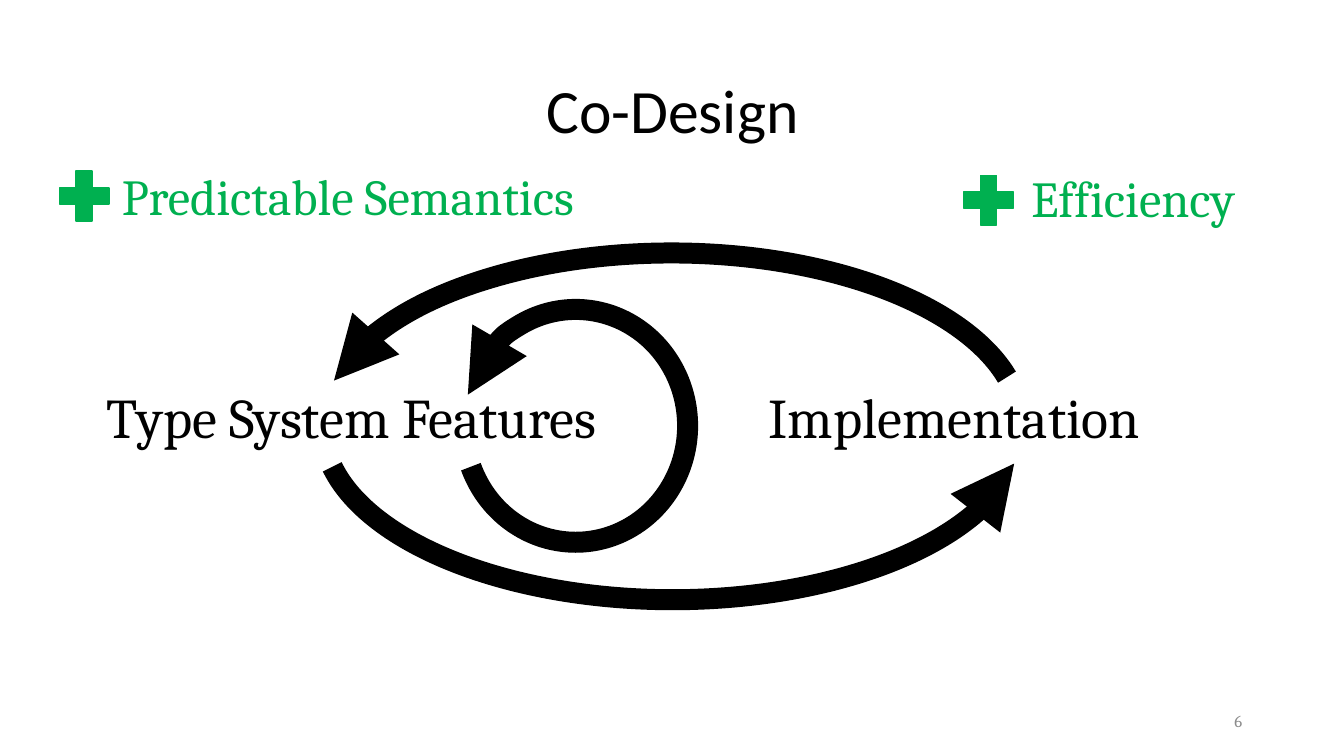
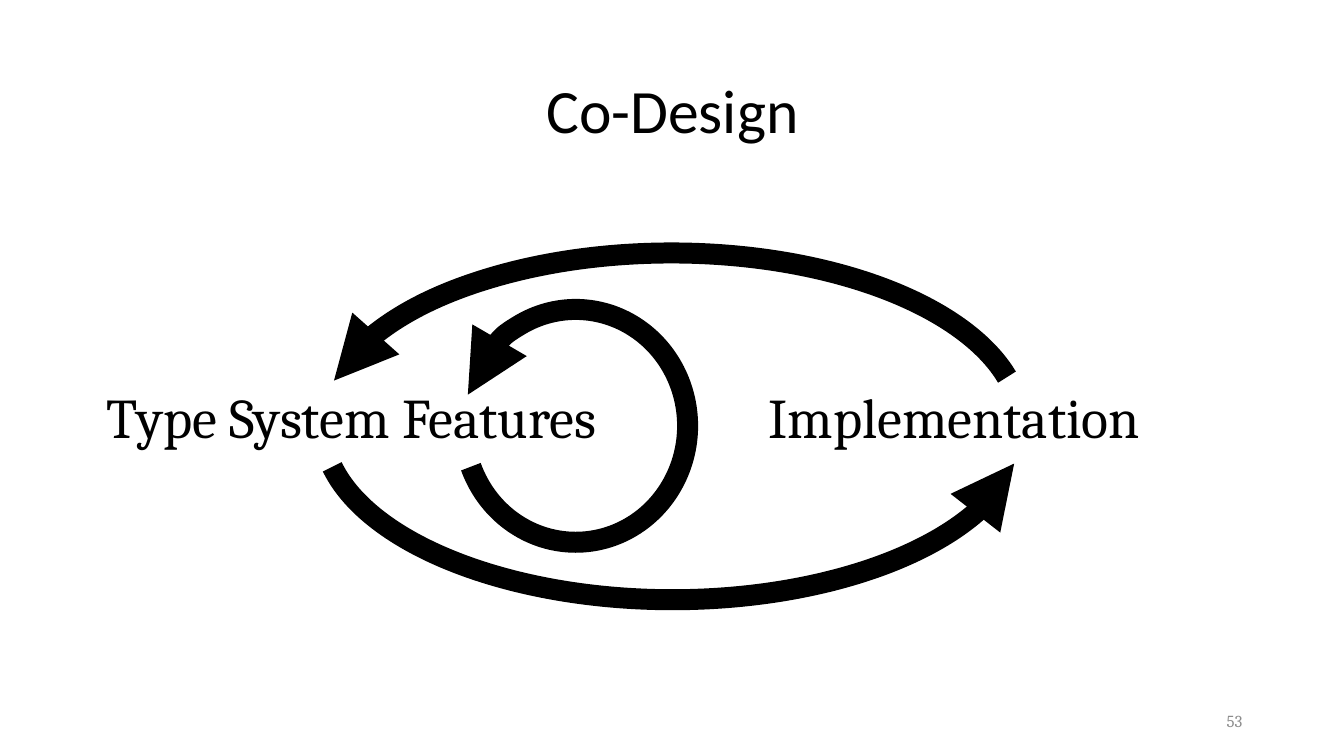
from lxml.etree import SubElement
from pptx import Presentation
from pptx.dml.color import RGBColor
from pptx.enum.shapes import MSO_SHAPE
from pptx.enum.text import MSO_ANCHOR, MSO_AUTO_SIZE, PP_ALIGN
from pptx.oxml.ns import qn
from pptx.util import Inches, Pt

# Content
TITLE = "Co-Design"
CONCEPTS = [
    ("Type System Features", (0.47, 3.75, 6.03, 0.77)),
    ("Implementation", (7.33, 3.75, 4.27, 0.77)),
]
# Arc box, then start and end angle in degrees; the arrowhead is at the start
CYCLES = [
    ((4.6, 3.07, 2.22, 2.31), 196.13, 158.71),
    ((3.19, 2.51, 6.94, 3.44), 187.72, 351.66),
    ((3.2, 2.51, 6.94, 3.44), 6.22, 173.21),
]
BENEFITS = [
    ("Efficiency", (10.13, 1.61, 2.31, 0.71), (9.47, 1.65)),
    ("Predictable Semantics", (1.11, 1.59, 4.96, 0.71), (0.5, 1.61)),
]
SLIDES = [
    {"number": "6", "benefits": BENEFITS},
    {"number": "53", "benefits": []},
]

# Shared style
COLORS = {"ink": "000000", "benefit": "00B050", "number": "8C8C8C"}
TITLE_BOX = (0.92, 0.4, 11.5, 1.45)
NUMBER_BOX = (9.42, 6.95, 3, 0.4)
PLUS_SIZE = 0.67
STYLES = {
    "title": {
        "font": {"name": "Calibri", "size": Pt(44)}, "color": "ink",
        "paragraph": {"alignment": PP_ALIGN.CENTER, "line_spacing": 0.9},
        "frame": {"vertical_anchor": MSO_ANCHOR.MIDDLE, "word_wrap": True},
    },
    "number": {
        "font": {"name": "Cambria", "size": Pt(12)}, "color": "number",
        "paragraph": {"alignment": PP_ALIGN.RIGHT},
        "frame": {"vertical_anchor": MSO_ANCHOR.MIDDLE, "word_wrap": True},
    },
    "concept": {
        "font": {"name": "Cambria", "size": Pt(40)}, "color": "ink",
        "paragraph": {"alignment": PP_ALIGN.CENTER},
        "frame": {"auto_size": MSO_AUTO_SIZE.SHAPE_TO_FIT_TEXT, "word_wrap": True},
    },
    "benefit": {
        "font": {"name": "Cambria", "size": Pt(36)}, "color": "benefit",
        "paragraph": {"alignment": PP_ALIGN.LEFT},
        "frame": {"auto_size": MSO_AUTO_SIZE.SHAPE_TO_FIT_TEXT, "word_wrap": False},
    },
}


def inches(box):
    return [Inches(length) for length in box]


def color(name):
    return RGBColor.from_string(COLORS[name])


def set_all(target, values):
    for attribute, value in values.items():
        setattr(target, attribute, value)


def write(holder, text, style_name):
    style = STYLES[style_name]
    frame = holder.text_frame
    set_all(frame, style["frame"])
    paragraph = frame.paragraphs[0]
    set_all(paragraph, style["paragraph"])
    run = paragraph.add_run()
    run.text = text
    set_all(run.font, style["font"])
    run.font.color.rgb = color(style["color"])


def add_label(shapes, text, box, style_name):
    write(shapes.add_textbox(*inches(box)), text, style_name)


def add_outlined(shapes, preset, box, color_name, width):
    outlined = shapes.add_shape(preset, *inches(box))
    outlined.shadow.inherit = False
    outlined.line.color.rgb = color(color_name)
    outlined.line.width = Pt(width)
    return outlined


def add_cycle(shapes, box, start, end):
    cycle = add_outlined(shapes, MSO_SHAPE.ARC, box, "ink", 15)
    cycle.fill.background()
    # Arc angles are stored in 60000ths of a degree, adjustments in 100000ths
    for index, angle in enumerate((start, end)):
        cycle.adjustments[index] = angle * 0.6
    SubElement(cycle.line._get_or_add_ln(), qn("a:headEnd"), type="triangle")


def add_benefit(shapes, text, box, plus_corner):
    group = shapes.add_group_shape()
    add_label(group.shapes, text, box, "benefit")
    plus = add_outlined(group.shapes, MSO_SHAPE.MATH_PLUS,
                        (*plus_corner, PLUS_SIZE, PLUS_SIZE), "benefit", 1)
    plus.fill.solid()
    plus.fill.fore_color.rgb = color("benefit")


def add_codesign_slide(deck, number, benefits):
    slide = deck.slides.add_slide(deck.slide_layouts.get_by_name("Title Only"))
    shapes = slide.shapes

    # Title and slide number
    title = shapes.title
    set_all(title, dict(zip(("left", "top", "width", "height"), inches(TITLE_BOX))))
    write(title, TITLE, "title")
    add_label(shapes, number, NUMBER_BOX, "number")

    # Concepts and the cycles between them
    for text, box in CONCEPTS:
        add_label(shapes, text, box, "concept")
    for cycle in CYCLES:
        add_cycle(shapes, *cycle)

    # Benefits
    for benefit in benefits:
        add_benefit(shapes, *benefit)


def main():
    deck = Presentation()
    deck.slide_width, deck.slide_height = inches((13.33, 7.5))
    for content in SLIDES:
        add_codesign_slide(deck, **content)
    deck.save("out.pptx")


if __name__ == "__main__":
    main()
